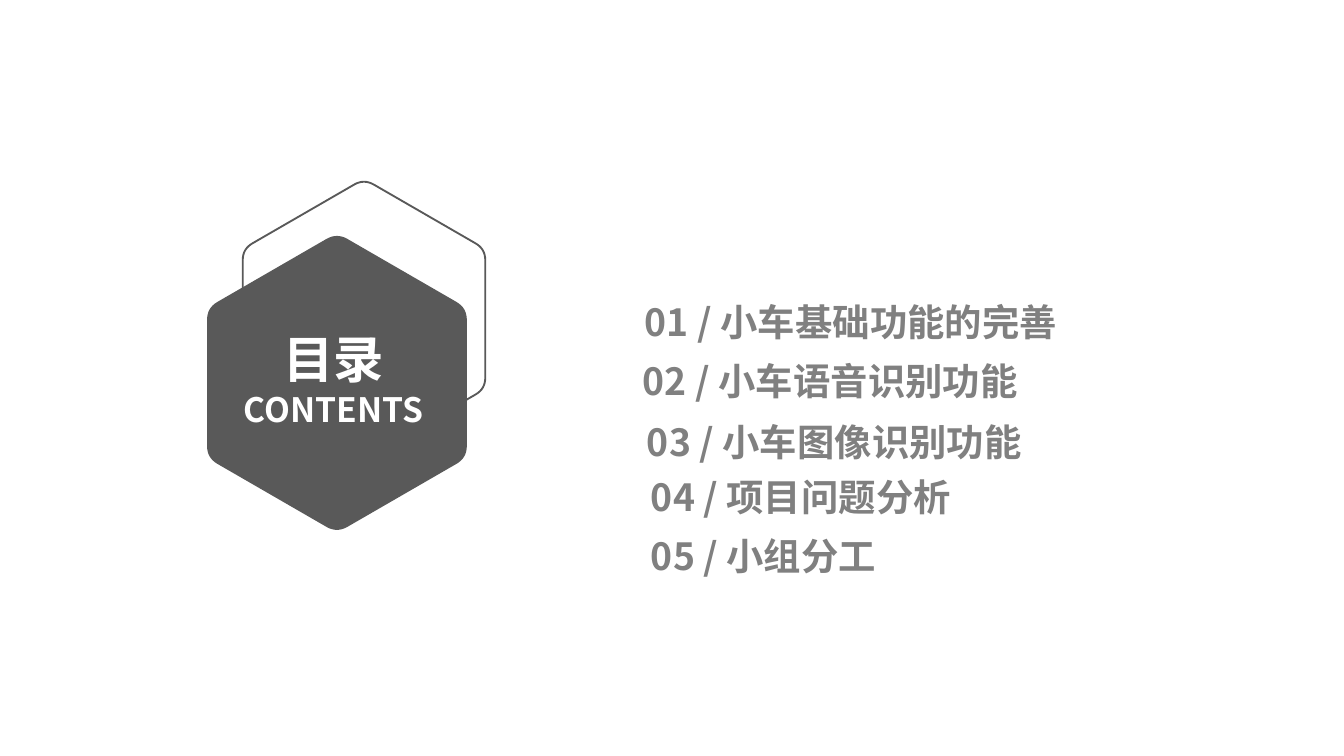
from math import cos, pi, sin

from lxml import etree
from pptx import Presentation
from pptx.dml.color import RGBColor
from pptx.enum.text import MSO_ANCHOR, MSO_AUTO_SIZE, PP_ALIGN
from pptx.oxml.ns import qn
from pptx.util import Pt

PX = 914400 / 134.4
FONT = "Noto Sans CJK SC"
DARK = RGBColor(0x59, 0x59, 0x59)
GRAY = RGBColor(0x80, 0x80, 0x80)
WHITE = RGBColor(0xFF, 0xFF, 0xFF)
LEFT, CENTER = PP_ALIGN.LEFT, PP_ALIGN.CENTER
TOP = MSO_ANCHOR.TOP
FIXED = MSO_AUTO_SIZE.NONE
TITLE_ONLY = 5
STEPS = 8

# text, left, top, width
ITEMS = [
    ("01 / 小车基础功能的完善", 640, 294, 574),
    ("02 / 小车语音识别功能", 638, 353, 472),
    ("03 / 小车图像识别功能", 642, 414, 524),
    ("04 / 项目问题分析", 646, 469, 524),
    ("05 / 小组分工", 646, 528, 524),
]


def emu(px):
    return round(px * PX)


def mix(a, b, t):
    return tuple(p + (q - p) * t for p, q in zip(a, b))


def hexagon(slide, x, y, radius):
    """Draw an upright hexagon around (x, y) with rounded corners."""
    tips = [(x + radius * sin(i * pi / 3), y - radius * cos(i * pi / 3))
            for i in range(6)]
    points = []
    for i, tip in enumerate(tips):
        start = mix(tip, tips[i - 1], 0.08)
        end = mix(tip, tips[(i + 1) % 6], 0.08)
        for n in range(STEPS + 1):
            t = n / STEPS
            points.append(mix(mix(start, tip, t), mix(tip, end, t), t))
    points = [(emu(a), emu(b)) for a, b in points]
    pen = slide.shapes.build_freeform(*points[0])
    pen.add_line_segments(points[1:], close=True)
    shape = pen.convert_to_shape()
    shape.shadow.inherit = False
    return shape


def write(shape, box, lines, color, align):
    """Place a text shape and fill it with (text, size) lines."""
    shape.left, shape.top, shape.width, shape.height = map(emu, box)
    frame = shape.text_frame
    frame.word_wrap = True
    frame.auto_size = FIXED
    frame.vertical_anchor = TOP
    frame.margin_left = frame.margin_right = emu(5)
    frame.margin_top = frame.margin_bottom = emu(5)
    frame.text = "\n".join(text for text, _ in lines)
    for para, (_, size) in zip(frame.paragraphs, lines):
        para.alignment = align
        font = para.font
        font.name, font.size, font.bold = FONT, Pt(size), True
        font.color.rgb = color
        latin = para._p.pPr.find(qn("a:defRPr")).find(qn("a:latin"))
        east = etree.Element(qn("a:ea"), typeface=FONT)
        latin.addnext(east)


def main():
    deck = Presentation()
    deck.slide_width, deck.slide_height = emu(1344), emu(756)
    slide = deck.slides.add_slide(deck.slide_layouts[TITLE_ONLY])

    back = hexagon(slide, 364, 319, 140)
    back.fill.background()
    back.line.color.rgb = DARK
    back.line.width = Pt(1)

    front = hexagon(slide, 337, 383, 150)
    front.fill.solid()
    front.fill.fore_color.rgb = DARK
    front.line.fill.background()

    title = slide.shapes.title
    front._element.addnext(title._element)
    write(title, (211, 323, 245, 122), [("目录", 27), ("CONTENTS", 18)],
          WHITE, CENTER)

    for text, left, top, width in ITEMS:
        item = slide.shapes.add_textbox(0, 0, 0, 0)
        write(item, (left, top, width, 62), [(text, 20)], GRAY, LEFT)

    deck.save("out.pptx")


if __name__ == "__main__":
    main()
